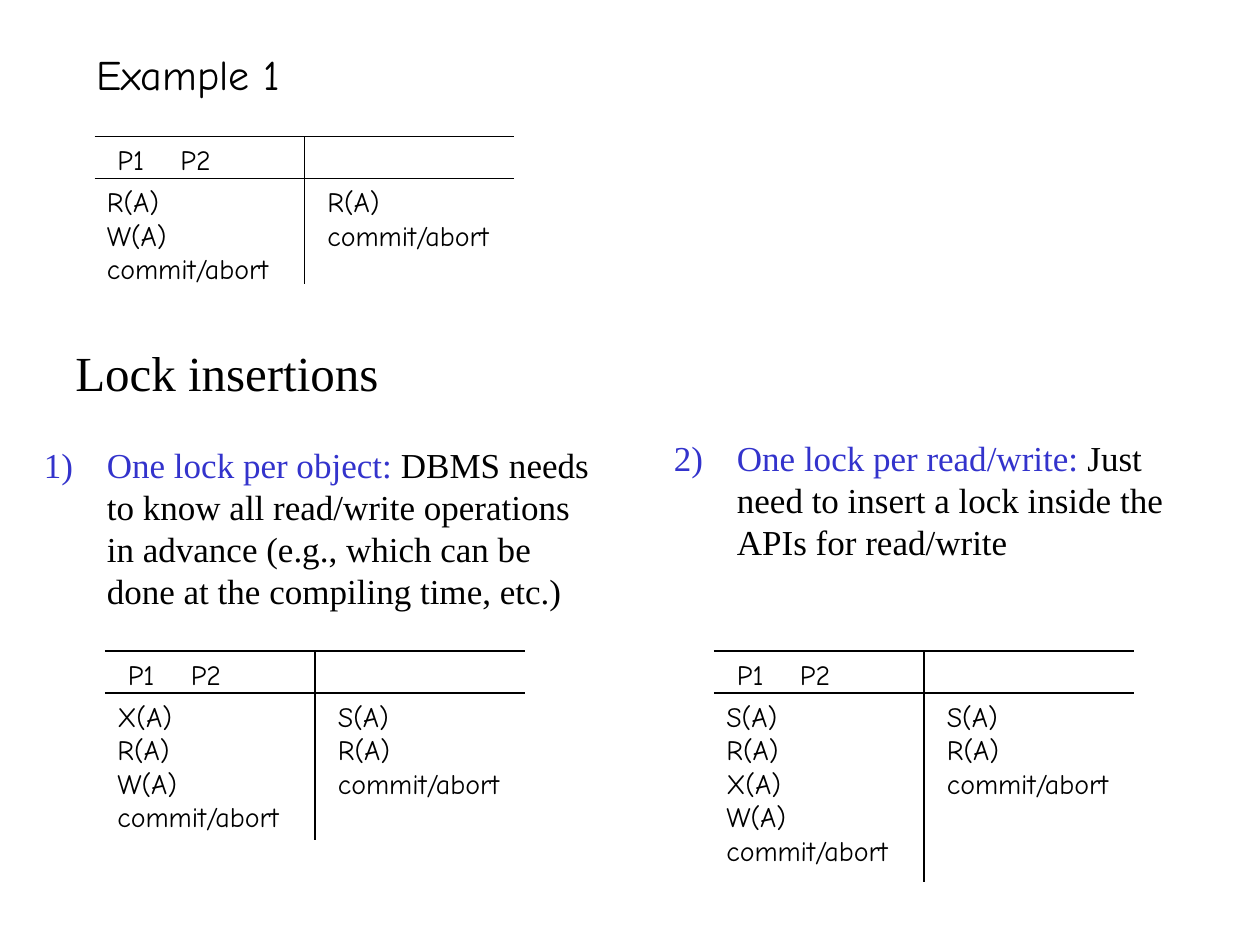
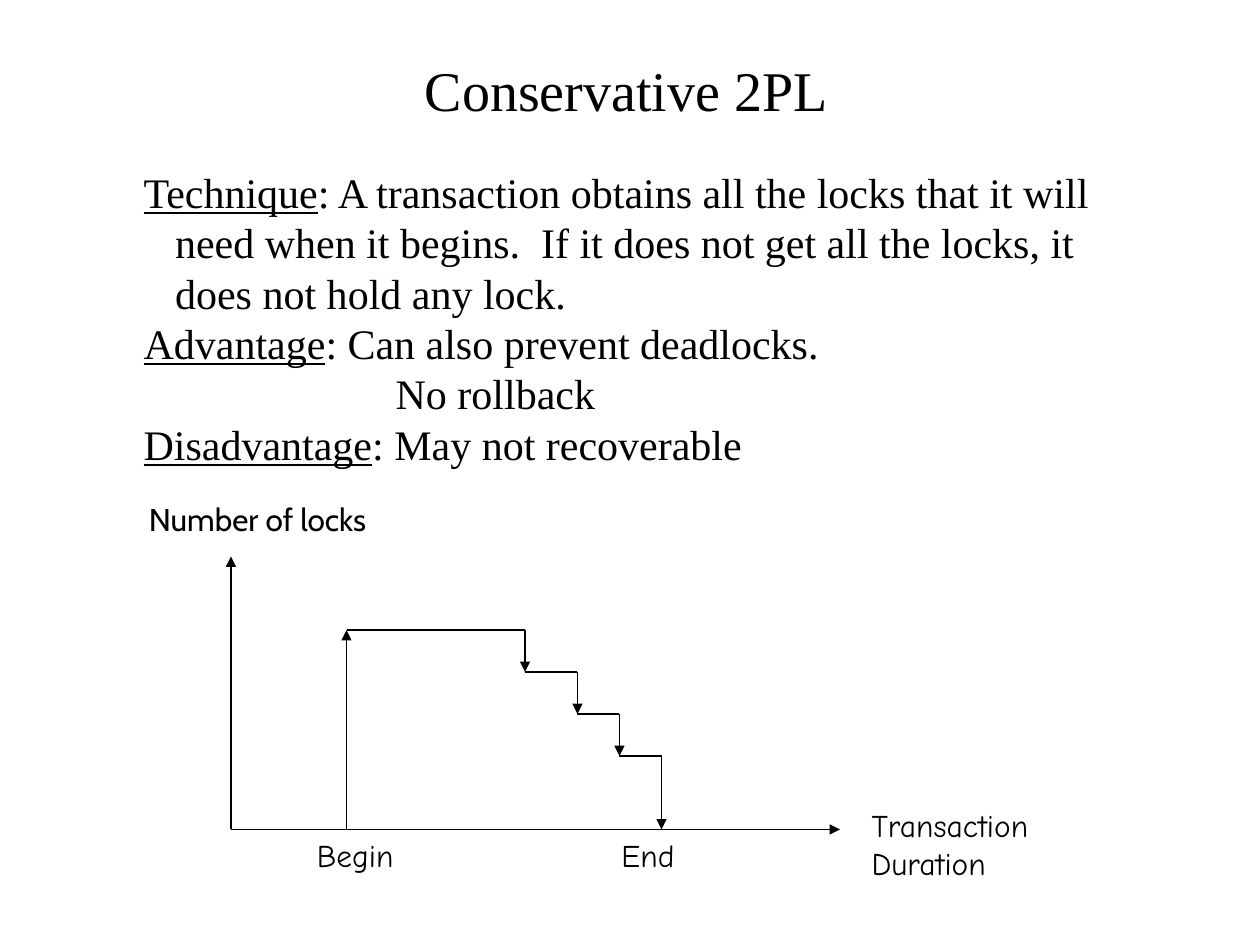
"""Build two slides on lock insertion and conservative two-phase locking."""
from itertools import pairwise

from lxml.etree import SubElement
from pptx import Presentation
from pptx.dml.color import RGBColor
from pptx.enum.shapes import MSO_CONNECTOR as CONN
from pptx.enum.text import MSO_ANCHOR as ANCHOR, MSO_AUTO_SIZE as AUTO, PP_ALIGN as ALIGN
from pptx.oxml.ns import qn
from pptx.util import Pt

COLORS = {"ink": "000000", "accent": "3333CC"}
SERIF, HAND, SANS = "Times New Roman", "Comic Neue", "Cabin"

SCHEDULES = [
    (54, 78, 84, ["R(A)", "W(A)", "commit/abort"], ["R(A)", "commit/abort"]),
    (60, 372, 108, ["X(A)", "R(A)", "W(A)", "commit/abort"], ["S(A)", "R(A)", "commit/abort"]),
    (408, 372, 132, ["S(A)", "R(A)", "X(A)", "W(A)", "commit/abort"],
     ["S(A)", "R(A)", "commit/abort"]),
]
OPTIONS = [
    (18, 250, 330, "One lock per object: ",
     "DBMS needs to know all read/write operations in advance "
     "(e.g., which can be done at the compiling time, etc.)"),
    (378, 246, 300, "One lock per read/write: ",
     "Just need to insert a lock inside the APIs for read/write"),
]
POINTS = [
    ("Technique", ": A transaction obtains all the locks that it will need when it begins.  "
                  "If it does not get all the locks, it does not hold any lock."),
    ("Advantage", ": Can also prevent deadlocks."),
    ("", "No rollback"),
    ("Disadvantage", ": May not recoverable"),
]
ORIGIN, Y_END, X_END = (132, 474), (132, 318), (480, 474)
LOCK_STEPS = [(198, 474), (198, 360), (300, 360), (300, 384), (330, 384),
              (330, 408), (354, 408), (354, 432), (378, 432), (378, 474)]
LABELS = [
    ("Number of locks", 78, 282, 144, SANS),
    ("Begin", 174, 474, 62, HAND),
    ("End", 348, 474, 48, HAND),
    ("Transaction Duration", 491, 457, 133, HAND),
]


def set_text(sp, paras, size, font, align=ALIGN.LEFT, margin=0, indent=0):
    """Fill a shape with paragraphs, each a string or a list of (text, format) runs."""
    tf = sp.text_frame
    tf.word_wrap, tf.auto_size, tf.vertical_anchor = True, AUTO.NONE, ANCHOR.TOP
    for i, runs in enumerate(paras):
        p = tf.add_paragraph() if i else tf.paragraphs[0]
        p.alignment = align
        pPr = p._p.get_or_add_pPr()
        pPr.set("marL", str(Pt(margin)))
        pPr.set("indent", str(Pt(indent)))
        for text, style in [(runs, {})] if isinstance(runs, str) else runs:
            r = p.add_run()
            r.text = text
            r.font.name, r.font.size = font, Pt(size)
            r.font.underline = style.get("underline", False)
            r.font.color.rgb = RGBColor.from_string(COLORS[style.get("color", "ink")])
    return tf


def add_text(s, paras, x, y, w, h, size, font, **fmt):
    """Add a text box and return its text frame."""
    return set_text(s.shapes.add_textbox(Pt(x), Pt(y), Pt(w), Pt(h)), paras, size, font, **fmt)


def add_title(prs, text, x, y, w, h, size, font, align=ALIGN.LEFT):
    """Add a title-only slide with a placed title."""
    s = prs.slides.add_slide(prs.slide_layouts[5])
    sp = s.shapes.title
    sp.left, sp.top, sp.width, sp.height = Pt(x), Pt(y), Pt(w), Pt(h)
    set_text(sp, [text], size, font, align)
    return s


def add_line(s, start, end, arrow=False):
    """Draw a thin straight line, with an arrowhead at its end if asked."""
    c = s.shapes.add_connector(CONN.STRAIGHT, *map(Pt, start + end))
    c.line.color.rgb = RGBColor.from_string(COLORS["ink"])
    c.line.width = Pt(0.75)
    if arrow:
        SubElement(c.line._get_or_add_ln(), qn("a:tailEnd"), type="triangle")
    SubElement(c._element.spPr, qn("a:effectLst"))


def add_schedule(s, x, y, h, first, second):
    """Draw a ruled two-process schedule."""
    width, head, middle = 240, 24, 120
    tf = add_text(s, ["P1\tP2"], x + 6, y, 234, 27, 16, HAND)
    tabs = SubElement(tf.paragraphs[0]._p.get_or_add_pPr(), qn("a:tabLst"))
    SubElement(tabs, qn("a:tab"), pos=str(Pt(154)), algn="l")
    for rule in (y, y + head):
        add_line(s, (x, rule), (x + width, rule))
    add_line(s, (x + middle, y), (x + middle, y + h))
    for left, steps in ((x, first), (x + middle + 6, second)):
        add_text(s, steps, left, y + head, 120, 7.2 + 19.5 * len(steps), 16, HAND)


def build_locks(prs):
    """Build the slide that compares ways to insert locks."""
    s = add_title(prs, "Example 1", 48, 24, 200, 37, 24, HAND)
    add_text(s, ["Lock insertions"], 36, 192, 240, 41, 28, SERIF)
    for schedule in SCHEDULES:
        add_schedule(s, *schedule)
    for number, (x, y, w, lead, rest) in enumerate(OPTIONS, 1):
        tf = add_text(s, [[(lead, {"color": "accent"}), (rest, {})]], x, y, w, 104,
                      20, SERIF, margin=36, indent=-36)
        SubElement(tf.paragraphs[0]._p.get_or_add_pPr(), qn("a:buAutoNum"),
                   type="arabicParenR", startAt=str(number))


def build_conservative(prs):
    """Build the slide on conservative 2PL with its lock count graph."""
    s = add_title(prs, "Conservative 2PL", 160, 28, 396, 46, 32, SERIF, ALIGN.CENTER)
    paras = [[(term, {"underline": True}), (rest, {})] if term else rest for term, rest in POINTS]
    tf = add_text(s, paras, 75, 91.5, 582, 181, 24, SERIF, margin=18, indent=-18)
    for p, (term, _) in zip(tf.paragraphs, POINTS):
        if not term:
            p._p.pPr.set("marL", str(Pt(144)))
            p._p.pPr.set("indent", "0")
    for end in (Y_END, X_END):
        add_line(s, ORIGIN, end, arrow=True)
    for start, end in pairwise(LOCK_STEPS):
        add_line(s, start, end, arrow=start[0] == end[0])
    for text, x, y, w, font in LABELS:
        add_text(s, [text], x, y, w, 29, 18, font)


def main():
    """Create and save the presentation."""
    prs = Presentation()
    prs.slide_width, prs.slide_height = Pt(720), Pt(540)
    build_locks(prs)
    build_conservative(prs)
    prs.save("out.pptx")


if __name__ == "__main__":
    main()
